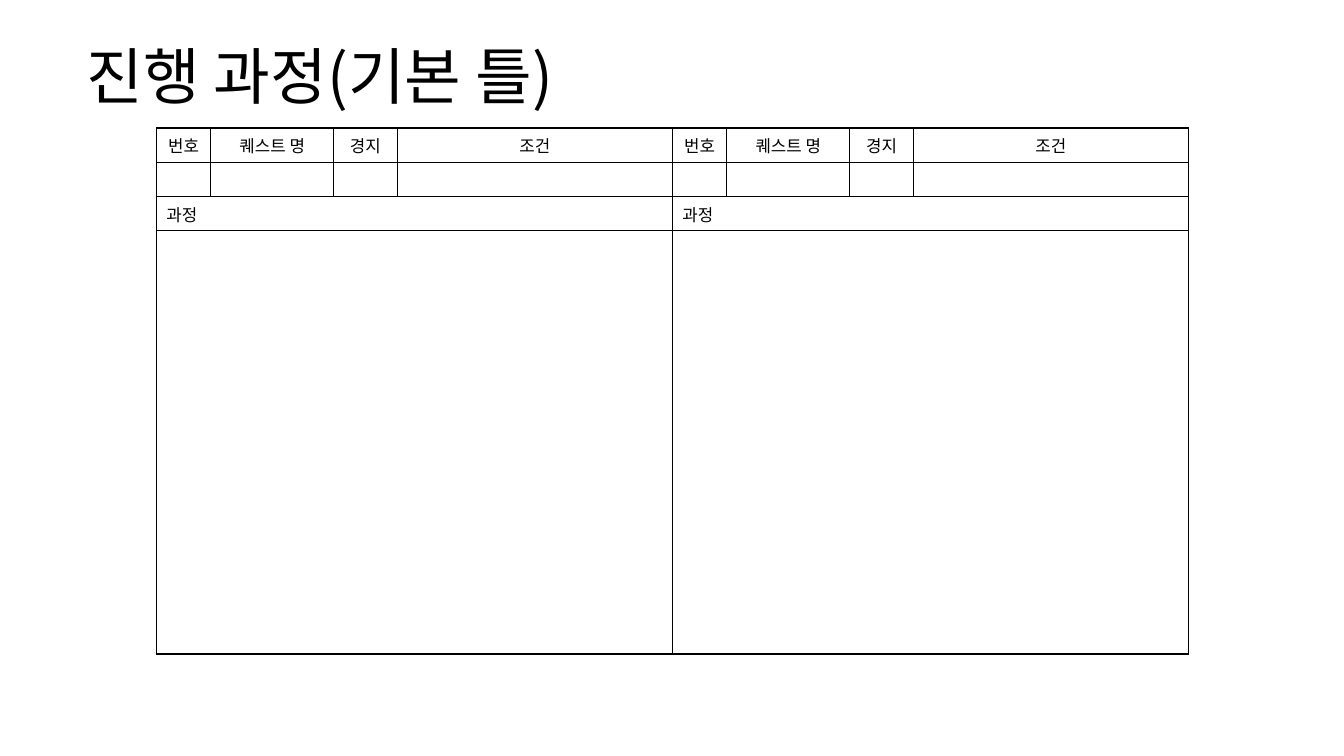
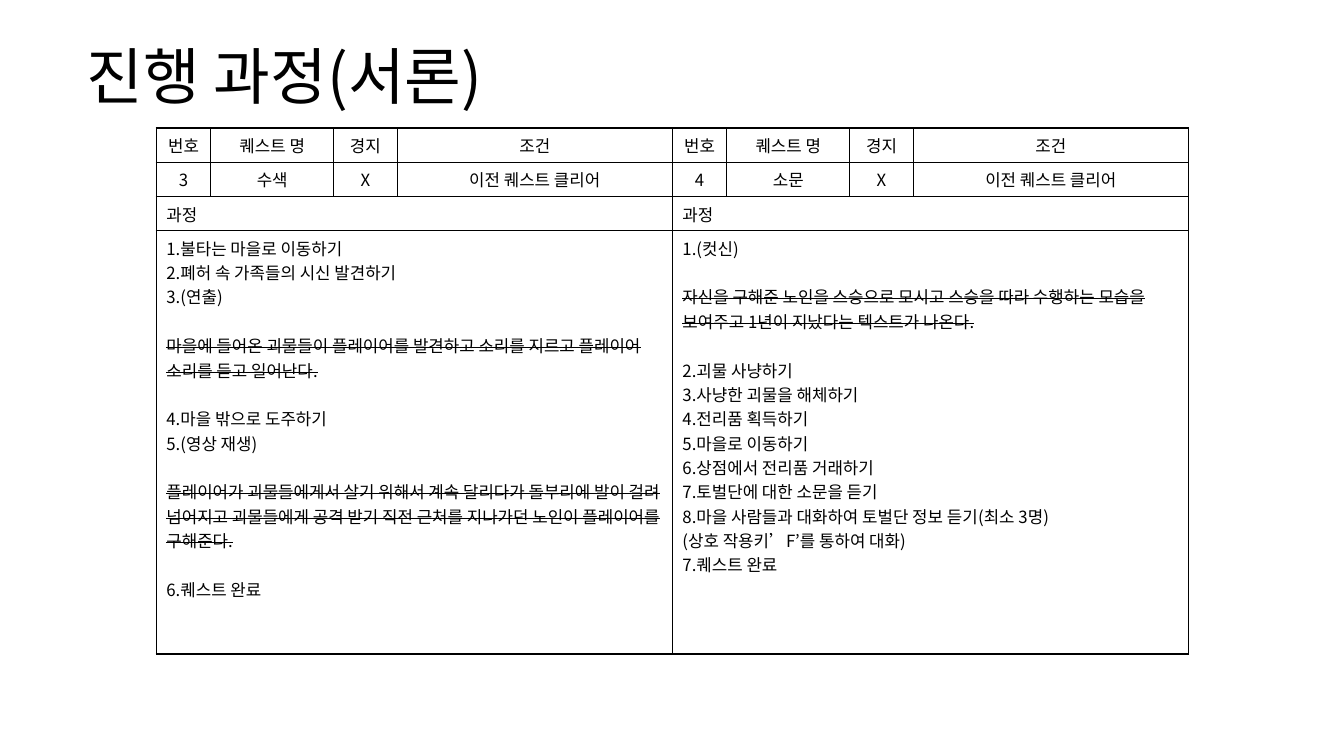
import pptx
import pptx.util
import pptx.dml.color
import pptx.enum.text
import pptx.oxml.ns
from dataclasses import dataclass
from lxml import etree

qn = pptx.oxml.ns.qn
PP_ALIGN = pptx.enum.text.PP_ALIGN


@dataclass(frozen=True)
class Theme:
    font: str = "Noto Sans CJK KR"
    ink: str = "000000"
    paper: str = "FFFFFF"
    title_size: int = 44
    body_size: int = 12
    blank_line: float = 17.4  # gap around a scene note, in points
    border: float = 1


THEME = Theme()
SLIDE_W, SLIDE_H = pptx.util.Inches(13.33), pptx.util.Inches(7.5)

# Boxes: left, top, width, height in percent of the slide
TITLE_BOX = (5.7, 4.27, 88.6, 12.53)
QUEST_BOXES = [(11.63 + 38.4 * i, 16.93, 38.4, 69.6) for i in range(2)]

# Relative column widths and row heights of a quest table
COLUMNS = (54, 122, 63, 273)
ROWS = (34, 34, 34, 420)
HEADERS = ("번호", "퀘스트 명", "경지", "조건")
PROCESS_LABEL = "과정"


@dataclass(frozen=True)
class Quest:
    facts: tuple = ("",) * len(HEADERS)
    steps: tuple = ("",)


@dataclass(frozen=True)
class Scene:
    """A struck-out note about a cutscene, set apart from the steps."""
    text: str


PAGES = [
    ("진행 과정(기본 틀)", (Quest(), Quest())),
    ("진행 과정(서론)", (
        Quest(("3", "수색", "X", "이전 퀘스트 클리어"), (
            "1.불타는 마을로 이동하기",
            "2.폐허 속 가족들의 시신 발견하기",
            "3.(연출)",
            Scene("마을에 들어온 괴물들이 플레이어를 발견하고 소리를 지르고 "
                  "플레이어 소리를 듣고 일어난다."),
            "4.마을 밖으로 도주하기",
            "5.(영상 재생)",
            Scene("플레이어가 괴물들에게서 살기 위해서 계속 달리다가 돌부리에 발이 "
                  "걸려 넘어지고 괴물들에게 공격 받기 직전 근처를 지나가던 노인이 "
                  "플레이어를 구해준다."),
            "6.퀘스트 완료",
        )),
        Quest(("4", "소문", "X", "이전 퀘스트 클리어"), (
            "1.(컷신)",
            Scene("자신을 구해준 노인을 스승으로 모시고 스승을 따라 수행하는 모습을 "
                  "보여주고 1년이 지났다는 텍스트가 나온다."),
            "2.괴물 사냥하기",
            "3.사냥한 괴물을 해체하기",
            "4.전리품 획득하기",
            "5.마을로 이동하기",
            "6.상점에서 전리품 거래하기",
            "7.토벌단에 대한 소문을 듣기",
            "8.마을 사람들과 대화하여 토벌단 정보 듣기(최소 3명)",
            "(상호 작용키’F’를 통하여 대화)",
            "7.퀘스트 완료",
        )),
    )),
]


def to_emu(box):
    sizes = (SLIDE_W, SLIDE_H, SLIDE_W, SLIDE_H)
    return [round(share * size / 100) for share, size in zip(box, sizes)]


def write(p, text, size, strike=False, **paragraph_format):
    for name, value in paragraph_format.items():
        setattr(p, name, value)
    if not text:
        # An empty cell keeps the line height of the body text
        etree.SubElement(p._p, qn("a:endParaRPr"), sz=str(size * 100))
        return
    r = p.add_run()
    r.text = text
    for name, value in {"size": pptx.util.Pt(size), "name": THEME.font}.items():
        setattr(r.font, name, value)
    r.font.color.rgb = pptx.dml.color.RGBColor.from_string(THEME.ink)
    rPr = r._r.get_or_add_rPr()
    etree.SubElement(rPr, qn("a:ea"), typeface=THEME.font)
    if strike:
        rPr.set("strike", "sngStrike")


def add_title(s, box, text):
    tf = s.shapes.add_textbox(*to_emu(box)).text_frame
    tf.word_wrap = True
    tf.vertical_anchor = pptx.enum.text.MSO_ANCHOR.MIDDLE
    write(tf.paragraphs[0], text, THEME.title_size, line_spacing=0.9)


def style_cell(cell):
    tcPr = cell._tc.get_or_add_tcPr()
    for side in ("a:lnL", "a:lnR", "a:lnT", "a:lnB"):
        ln = etree.SubElement(tcPr, qn(side), w=str(pptx.util.Pt(THEME.border)))
        fill = etree.SubElement(ln, qn("a:solidFill"))
        etree.SubElement(fill, qn("a:srgbClr"), val=THEME.ink)
    cell.fill.background()


def write_steps(tf, steps):
    gap = pptx.util.Pt(THEME.blank_line)
    for i, step in enumerate(steps):
        p = tf.add_paragraph() if i else tf.paragraphs[0]
        if isinstance(step, Scene):
            write(p, step.text, THEME.body_size, strike=True,
                  space_before=gap, space_after=gap)
        else:
            write(p, step, THEME.body_size)


def add_quest_table(s, box, quest):
    x, y, w, h = to_emu(box)
    table = s.shapes.add_table(len(ROWS), len(COLUMNS), x, y, w, h).table
    for flag in ("first_row", "horz_banding"):
        setattr(table, flag, False)
    for column, share in zip(table.columns, COLUMNS):
        column.width = round(w * share / sum(COLUMNS))
    for row, share in zip(table.rows, ROWS):
        row.height = round(h * share / sum(ROWS))
    for cell in table.iter_cells():
        style_cell(cell)

    # Headers and facts
    for row, texts in enumerate((HEADERS, quest.facts)):
        for column, text in enumerate(texts):
            p = table.cell(row, column).text_frame.paragraphs[0]
            write(p, text, THEME.body_size, alignment=PP_ALIGN.CENTER)

    # Process label and steps, each across the whole table
    for row, steps in ((2, (PROCESS_LABEL,)), (3, quest.steps)):
        cell = table.cell(row, 0)
        cell.merge(table.cell(row, len(COLUMNS) - 1))
        write_steps(cell.text_frame, steps)


def add_page(prs, title, quests):
    s = prs.slides.add_slide(prs.slide_layouts[6])
    s.background.fill.solid()
    s.background.fill.fore_color.rgb = pptx.dml.color.RGBColor.from_string(THEME.paper)
    add_title(s, TITLE_BOX, title)
    for box, quest in zip(QUEST_BOXES, quests):
        add_quest_table(s, box, quest)


def main():
    prs = pptx.Presentation()
    prs.slide_width, prs.slide_height = SLIDE_W, SLIDE_H
    for title, quests in PAGES:
        add_page(prs, title, quests)
    prs.save("out.pptx")


if __name__ == "__main__":
    main()
